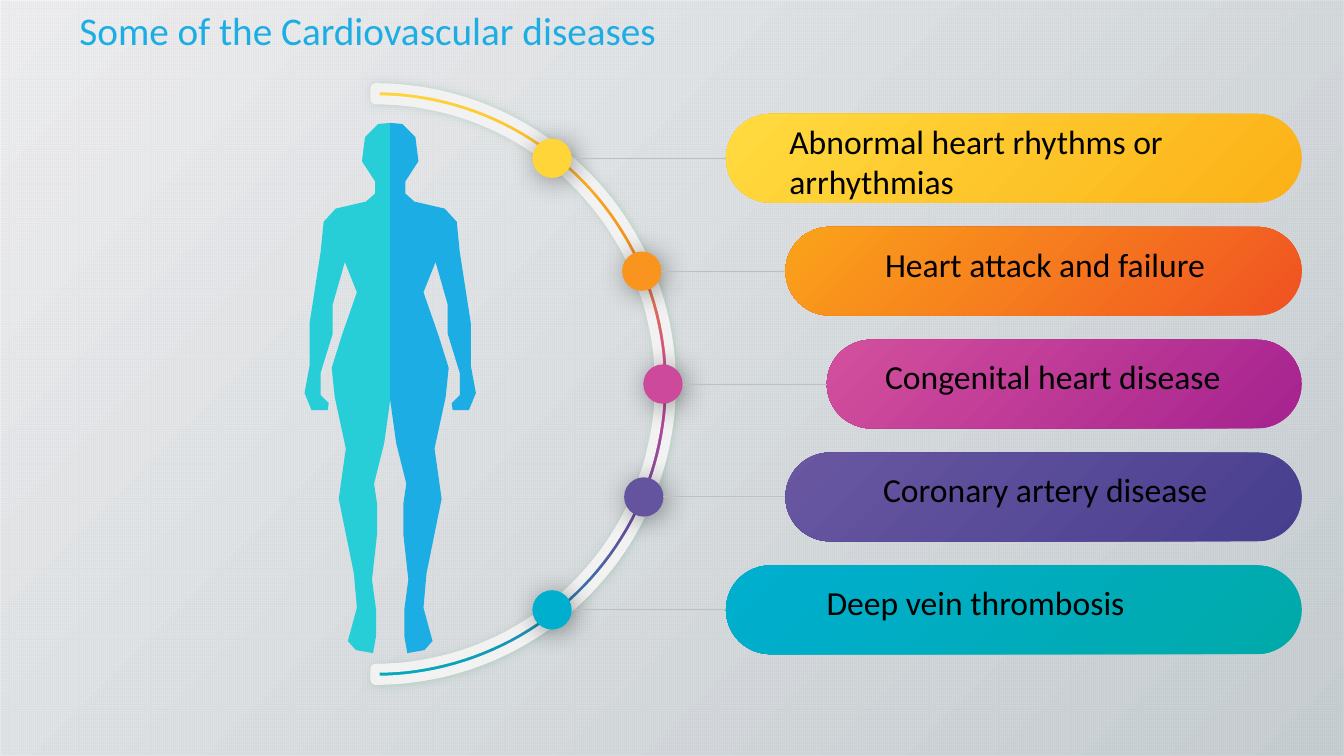
import math
from lxml import etree
from pptx import Presentation
from pptx import util as u
from pptx.dml.color import RGBColor
from pptx.enum import dml, shapes, text
from pptx.oxml.ns import qn

WHITE = RGBColor.from_string("FFFFFF")
BLACK = RGBColor.from_string("000000")
GRID = RGBColor.from_string("D9D9D9")
RIM = RGBColor.from_string("F2F2F2")
RIM_GLOW = RGBColor.from_string("8FBCA4")
LEADER = RGBColor.from_string("BFBFBF")
TURQUOISE = RGBColor.from_string("27CED7")
BLUE = RGBColor.from_string("1CADE4")
MIST, ARC, YELLOW, ORANGE, MAGENTA, PURPLE, TEAL = [
    [RGBColor.from_string(c) for c in stops.split()] for stops in (
        "BDC6CB EEEFF1", "FFD63A F4941D C74399 60509C 00ACBE", "FCB117 FFDB3F",
        "F05222 FBA31A", "A6228F D3509D", "473E8F 6957A1", "00AAA9 00AED0")]
DOT_YELLOW, DOT_ORANGE, DOT_MAGENTA, DOT_PURPLE, DOT_TEAL = [
    RGBColor.from_string(c) for c in "FFD539 F9951F CC499B 64539E 00AECD".split()]

# Half a body: distance from the middle axis and height, in inches
BODY_AXIS = 3.87
HALF_BODY = [
    (0, 1.22), (0.12, 1.23), (0.25, 1.36), (0.28, 1.6), (0.15, 1.8), (0.15, 1.92),
    (0.24, 2), (0.54, 2.07), (0.66, 2.2), (0.69, 2.5), (0.8, 3.21), (0.8, 3.63),
    (0.85, 3.9), (0.78, 4.07), (0.62, 4.07), (0.61, 4), (0.69, 3.92), (0.69, 3.7),
    (0.57, 3.31), (0.57, 3.02), (0.45, 2.6), (0.33, 2.9), (0.48, 3.33), (0.58, 3.65),
    (0.55, 3.94), (0.44, 4.45), (0.51, 4.95), (0.36, 5.69), (0.33, 6.03), (0.42, 6.36),
    (0.34, 6.45), (0.17, 6.48), (0.14, 6.31), (0.14, 6.05), (0.18, 5.75), (0.13, 5.3),
    (0.13, 5), (0.16, 4.8), (0.06, 4.4), (0, 3.97)]


def add_outline(parent, points):
    """Closed outline through points given in inches."""
    scaled = [(round(x * 1000), round(y * 1000)) for x, y in points]
    fb = parent.build_freeform(*scaled[0], scale=u.Inches(1) / 1000)
    fb.add_line_segments(scaled[1:], close=True)
    sp = fb.convert_to_shape()
    sp.shadow.inherit = False
    return sp


def set_gradient(sp, colors, angle, alpha=100):
    """Evenly spaced colour stops; angle is counter-clockwise."""
    sp.fill.gradient()
    sp.fill.gradient_angle = angle
    stops = sp._element.spPr.find(qn("a:gradFill")).find(qn("a:gsLst"))
    stops.clear()
    for i, color in enumerate(colors):
        gs = etree.SubElement(stops, qn("a:gs"), pos=str(100000 * i // (len(colors) - 1)))
        clr = etree.SubElement(gs, qn("a:srgbClr"), val=str(color))
        if alpha < 100:
            etree.SubElement(clr, qn("a:alpha"), val=str(alpha * 1000))


prs = Presentation()
prs.slide_width, prs.slide_height = u.Inches(13.33), u.Inches(7.5)
s = prs.slides.add_slide(prs.slide_layouts[5])

# Background: fine grid under a translucent gradient
grid, mist = [s.shapes.add_shape(shapes.MSO_SHAPE.RECTANGLE, 0, 0, prs.slide_width,
                                 prs.slide_height) for _ in range(2)]
grid.shadow.inherit = mist.shadow.inherit = False
grid.fill.patterned()
grid.fill.pattern = dml.MSO_PATTERN.SMALL_GRID
grid.fill.fore_color.rgb = GRID
grid.fill.back_color.rgb = WHITE
grid.line.color.rgb = WHITE
grid.line.width = u.Pt(1.25)
set_gradient(mist, MIST, 135, 77)
mist.line.fill.background()

# Half ring
angles = [math.radians(a) for a in range(-90, 91, 2)]
ring = [(3.72 + radius * math.cos(a), 3.81 + radius * math.sin(a))
        for radius, sweep in ((2.94, angles), (2.82, angles[::-1])) for a in sweep]
arc = add_outline(s.shapes, ring)
set_gradient(arc, ARC, 270)
arc.line.color.rgb = RIM
arc.line.width = u.Pt(6.5)
shadowed = [(arc, RIM_GLOW, 50, 6, 0)]

# Diseases: pill left, pill colours, dot left, dot colour, label left, top offset, width, height
diseases = [
    ("Abnormal heart rhythms or arrhythmias", 7.2, YELLOW, 5.28, DOT_YELLOW, 7.73, 0.02, 5.18, 0.91),
    ("Heart attack and failure", 7.79, ORANGE, 6.17, DOT_ORANGE, 8.68, 0.12, 4.13, 0.5),
    ("Congenital heart disease", 8.2, MAGENTA, 6.38, DOT_MAGENTA, 8.68, 0.11, 4.24, 0.5),
    ("Coronary artery disease", 7.79, PURPLE, 6.19, DOT_PURPLE, 8.66, 0.11, 3.85, 0.5),
    ("Deep vein thrombosis", 7.2, TEAL, 5.28, DOT_TEAL, 8.1, 0.11, 4.4, 0.5),
]
PILL_RIGHT, PILL_H, DOT = 12.91, 0.88, 0.39
for i, (name, left, colors, dot_left, dot_color, tx, dy, tw, th) in enumerate(diseases):
    top = 1.13 + 1.12 * i
    middle = top + PILL_H / 2
    pill = s.shapes.add_shape(shapes.MSO_SHAPE.ROUNDED_RECTANGLE, u.Inches(left), u.Inches(top),
                              u.Inches(PILL_RIGHT - left), u.Inches(PILL_H))
    pill.adjustments[0] = 0.5
    pill.shadow.inherit = False
    set_gradient(pill, colors, 135)
    pill.line.fill.background()

    dot = s.shapes.add_shape(shapes.MSO_SHAPE.OVAL, u.Inches(dot_left),
                             u.Inches(middle - DOT / 2), u.Inches(DOT), u.Inches(DOT))
    dot.shadow.inherit = False
    dot.fill.solid()
    dot.fill.fore_color.rgb = dot_color
    dot.line.fill.background()
    shadowed.append((dot, BLACK, 40, 20, 3))

    leader = s.shapes.add_connector(shapes.MSO_CONNECTOR.STRAIGHT, u.Inches(dot_left + DOT),
                                    u.Inches(middle), u.Inches(left), u.Inches(middle))
    leader.end_connect(pill, 1)
    leader.line.color.rgb = LEADER
    leader.line.width = u.Pt(0.75)
    etree.SubElement(leader._element.spPr, qn("a:effectLst"))

    tf = s.shapes.add_textbox(u.Inches(tx), u.Inches(top + dy), u.Inches(tw),
                              u.Inches(th)).text_frame
    tf.word_wrap = True
    tf.auto_size = text.MSO_AUTO_SIZE.SHAPE_TO_FIT_TEXT
    r = tf.paragraphs[0].add_run()
    r.text = name
    r.font.name, r.font.size = "Calibri", u.Pt(24)
    r.font.color.rgb = BLACK

# Soft shadows of the ring and the dots
for sp, color, alpha, blur, dist in shadowed:
    effects = sp._element.spPr.find(qn("a:effectLst"))
    shadow = etree.SubElement(effects, qn("a:outerShdw"), blurRad=str(u.Pt(blur)),
                              dist=str(u.Pt(dist)), dir="2700000", algn="ctr", rotWithShape="0")
    clr = etree.SubElement(shadow, qn("a:srgbClr"), val=str(color))
    etree.SubElement(clr, qn("a:alpha"), val=str(alpha * 1000))

# Human figure: one half mirrored about the axis
figure = s.shapes.add_group_shape()
for side, color in ((-1, TURQUOISE), (1, BLUE)):
    half = add_outline(figure.shapes, [(BODY_AXIS + side * x, y) for x, y in HALF_BODY])
    half.fill.solid()
    half.fill.fore_color.rgb = color
    half.line.fill.background()

# Title, brought in front of the background
title = s.shapes.title
title.left, title.top, title.width, title.height = map(u.Inches, (0.52, 0.01, 6.25, 0.57))
s.shapes._spTree.append(title._element)
tf = title.text_frame
tf.word_wrap = True
tf.vertical_anchor = text.MSO_ANCHOR.TOP
p = tf.paragraphs[0]
p.alignment = text.PP_ALIGN.CENTER
r = p.add_run()
r.text = "Some of the Cardiovascular diseases"
r.font.name, r.font.size = "Calibri", u.Pt(28)
r.font.color.rgb = BLUE

prs.save("out.pptx")
